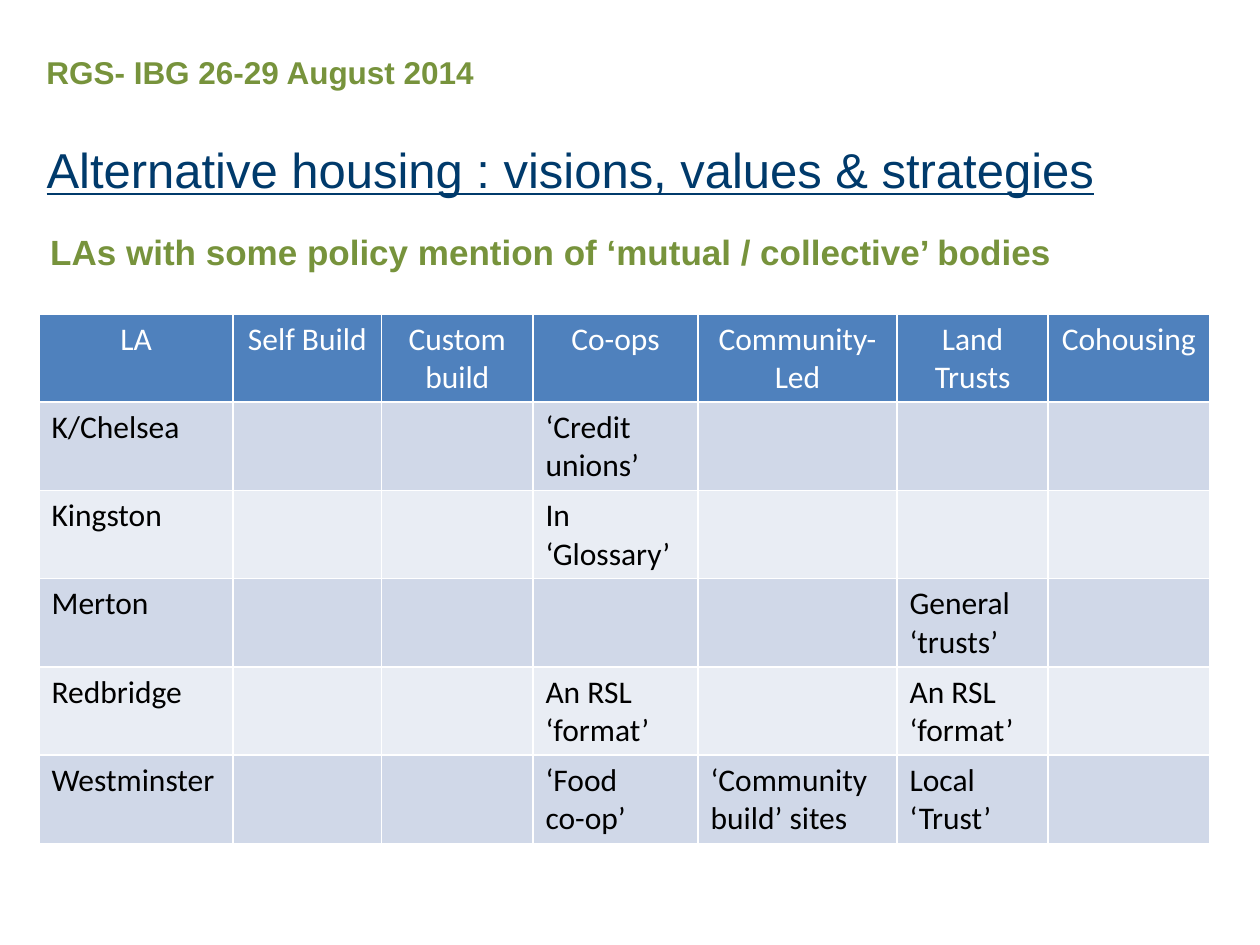
from lxml import etree
from pptx import Presentation
from pptx.dml.color import RGBColor
from pptx.enum.text import MSO_ANCHOR, MSO_AUTO_SIZE, PP_ALIGN
from pptx.oxml.ns import qn
from pptx.util import Inches, Pt

GREEN, NAVY, WHITE, BLACK = "77933C", "003A6B", "FFFFFF", "000000"
HEADER_FILL, BAND_FILLS = "4F81BD", ("D0D8E8", "E9EDF4")
COLUMN_WIDTHS = (1.54, 1.18, 1.2, 1.31, 1.58, 1.2, 1.28)
ROW_HEIGHT = 0.7
HEADINGS = ("LA", "Self Build", "Custom build", "Co-ops", "Community-Led",
            "Land Trusts", "Cohousing")
AUTHORITIES = (
    ("K/Chelsea", {"Co-ops": "‘Credit unions’"}),
    ("Kingston", {"Co-ops": "In ‘Glossary’"}),
    ("Merton", {"Land Trusts": "General ‘trusts’"}),
    ("Redbridge", {"Co-ops": "An RSL ‘format’", "Land Trusts": "An RSL ‘format’"}),
    ("Westminster", {"Co-ops": "‘Food \nco-op’",
                     "Community-Led": "‘Community build’ sites",
                     "Land Trusts": "Local\n‘Trust’"}),
)


def rgb(value):
    return RGBColor.from_string(value)


def style_text(frame, font, size, color, align=PP_ALIGN.LEFT, bold=False, underline=False):
    for paragraph in frame.paragraphs:
        paragraph.alignment = align
        for run in paragraph.runs:
            run.font.name = font
            run.font.size = Pt(size)
            run.font.color.rgb = rgb(color)
            run.font.bold = bold
            run.font.underline = underline


def place_line(shape, box, text, size, color, **style):
    shape.left, shape.top, shape.width, shape.height = map(Inches, box)
    frame = shape.text_frame
    frame.text = text
    frame.word_wrap = False
    frame.auto_size = MSO_AUTO_SIZE.SHAPE_TO_FIT_TEXT
    frame.vertical_anchor = MSO_ANCHOR.TOP
    style_text(frame, "Arial", size, color, **style)


def add_headings(slide, left, top):
    event = slide.shapes.add_textbox(0, 0, 0, 0)
    place_line(event, (left, top, 3.63, 0.4), "RGS- IBG 26-29 August 2014",
               18, GREEN, bold=True)
    place_line(slide.shapes.title, (left, top + 0.69, 8.62, 0.57),
               "Alternative housing : visions, values & strategies",
               28, NAVY, underline=True)
    subtitle = slide.shapes.add_textbox(0, 0, 0, 0)
    place_line(subtitle, (left + 0.03, top + 1.41, 8.2, 0.44),
               "LAs with some policy mention of ‘mutual / collective’ bodies",
               20, GREEN, bold=True)


def set_borders(cell, color, width):
    properties = cell._tc.get_or_add_tcPr()
    for index, side in enumerate(("lnL", "lnR", "lnT", "lnB")):
        line = etree.Element(qn(f"a:{side}"), w=str(Pt(width)))
        fill = etree.SubElement(line, qn("a:solidFill"))
        etree.SubElement(fill, qn("a:srgbClr"), val=color)
        properties.insert(index, line)


def fill_cell(cell, text, fill, color, align):
    cell.text = text
    style_text(cell.text_frame, "Calibri", 18, color, align)
    cell.fill.solid()
    cell.fill.fore_color.rgb = rgb(fill)
    set_borders(cell, WHITE, 1)


def add_policy_table(slide, left, top):
    rows = [HEADINGS] + [
        (name, *(mentions.get(heading, "") for heading in HEADINGS[1:]))
        for name, mentions in AUTHORITIES
    ]
    table = slide.shapes.add_table(
        len(rows), len(HEADINGS), Inches(left), Inches(top),
        Inches(sum(COLUMN_WIDTHS)), Inches(ROW_HEIGHT * len(rows))).table
    for column, width in zip(table.columns, COLUMN_WIDTHS):
        column.width = Inches(width)
    for r, values in enumerate(rows):
        table.rows[r].height = Inches(ROW_HEIGHT)
        if r == 0:
            style = (HEADER_FILL, WHITE, PP_ALIGN.CENTER)
        else:
            style = (BAND_FILLS[(r - 1) % 2], BLACK, PP_ALIGN.LEFT)
        for c, text in enumerate(values):
            fill_cell(table.cell(r, c), text, *style)


def main():
    deck = Presentation()
    deck.slide_width, deck.slide_height = Inches(10), Inches(7.5)
    slide = deck.slides.add_slide(deck.slide_layouts[5])
    add_headings(slide, 0.27, 0.37)
    add_policy_table(slide, 0.31, 2.49)
    deck.save("out.pptx")


main()
